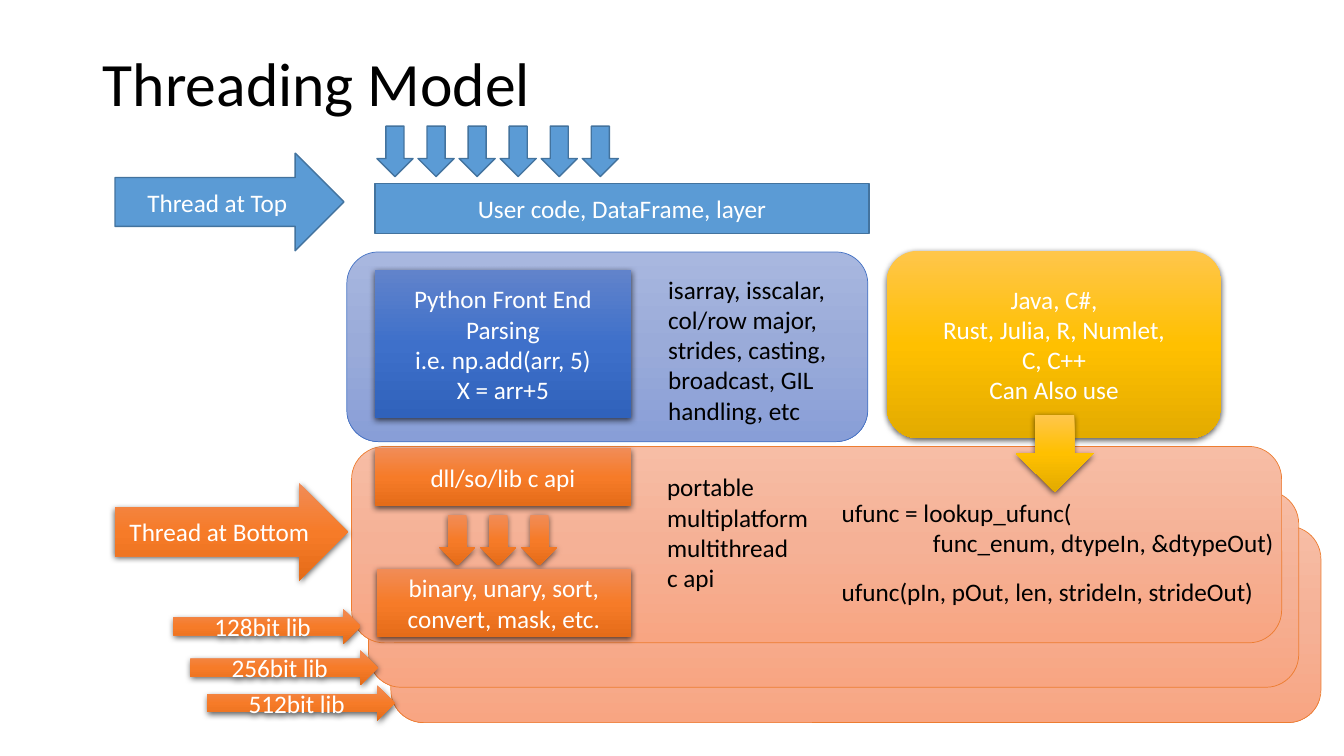
from lxml import etree
from pptx import Presentation
from pptx.dml.color import RGBColor
from pptx.enum.shapes import MSO_SHAPE
from pptx.enum.text import MSO_ANCHOR, MSO_AUTO_SIZE, PP_ALIGN
from pptx.oxml.ns import qn
from pptx.util import Cm, Pt

RECT, ROUND = MSO_SHAPE.RECTANGLE, MSO_SHAPE.ROUNDED_RECTANGLE
DOWN, RIGHT = MSO_SHAPE.DOWN_ARROW, MSO_SHAPE.RIGHT_ARROW
CENTER, LEFT = PP_ALIGN.CENTER, PP_ALIGN.LEFT
MIDDLE, TOP = MSO_ANCHOR.MIDDLE, MSO_ANCHOR.TOP
NO_FIT = MSO_AUTO_SIZE.NONE

FONT = "Calibri"
ARROW_W, ARROW_H, ARROW_STEP = 0.91, 1.27, 1.035

# Each style: fill colours from top to bottom, line (colour, points), shadow
FLAT_BLUE = (["5B9BD5"], ("43739E", 1), False)
BLUE = (["6183CB", "3E70CA", "3062BB"], None, True)
ORANGE = (["F18C57", "F67B28", "E56C19"], None, True)
GOLD = (["FFC64B", "FFC000", "E3AB00"], None, True)
BLUE_PANEL = (["A8B7DF", "9AABD9", "889ED7"], ("4472C4", 0.5), False)
ORANGE_PANEL = (["F7BDA5", "F5B196", "F8A582"], ("ED7D31", 0.5), False)


def rgb(code):
    """Turn a hex string into a colour."""
    return RGBColor.from_string(code)


def put_text(s, lines, color, align, anchor, size=18):
    """Write one paragraph per line and return the text frame."""
    tf = s.text_frame
    tf.word_wrap = True
    tf.auto_size = NO_FIT
    tf.vertical_anchor = anchor
    for i, line in enumerate(lines):
        p = tf.paragraphs[0] if i == 0 else tf.add_paragraph()
        p.text = line
        p.alignment = align
        p.font.name, p.font.size = FONT, Pt(size)
        p.font.color.rgb = rgb(color)
    return tf


def set_fill(s, colors):
    """Fill with one colour, or with an even vertical gradient."""
    if len(colors) == 1:
        s.fill.solid()
        s.fill.fore_color.rgb = rgb(colors[0])
        return
    s.fill.gradient()
    s.fill.gradient_angle = 270
    stops = s._element.spPr.find(qn("a:gradFill")).find(qn("a:gsLst"))
    for old in list(stops):
        stops.remove(old)
    for i, color in enumerate(colors):
        pos = str(100000 * i // (len(colors) - 1))
        stop = etree.SubElement(stops, qn("a:gs"), pos=pos)
        etree.SubElement(stop, qn("a:srgbClr"), val=color)


def add_shadow(s):
    """Add a soft black shadow below the shape."""
    effects = s._element.spPr.find(qn("a:effectLst"))
    shadow = etree.SubElement(effects, qn("a:outerShdw"), blurRad="57150", dist="19050",
                              dir="5400000", algn="ctr", rotWithShape="0")
    color = etree.SubElement(shadow, qn("a:srgbClr"), val="000000")
    etree.SubElement(color, qn("a:alpha"), val="63000")


def add_block(sp, kind, x, y, w, h, style, lines=()):
    """Add a styled shape with centred white text; lengths in cm."""
    colors, line, shadow = style
    s = sp.add_shape(kind, Cm(x), Cm(y), Cm(w), Cm(h))
    set_fill(s, colors)
    if line:
        s.line.color.rgb, s.line.width = rgb(line[0]), Pt(line[1])
    else:
        s.line.fill.background()
    s.shadow.inherit = False
    if shadow:
        add_shadow(s)
    put_text(s, lines, "FFFFFF", CENTER, MIDDLE)


def add_note(sp, x, y, w, h, lines):
    """Add black left-aligned text; lengths in cm."""
    s = sp.add_textbox(Cm(x), Cm(y), Cm(w), Cm(h))
    return put_text(s, lines, "000000", LEFT, TOP)


def add_threads(sp, x, y, count, style):
    """Add a row of small down arrows, one per thread."""
    for i in range(count):
        add_block(sp, DOWN, x + i * ARROW_STEP, y, ARROW_W, ARROW_H, style)


def add_title(slide, x, y, w, h):
    """Place and format the title."""
    s = slide.shapes.title
    s.left, s.top, s.width, s.height = Cm(x), Cm(y), Cm(w), Cm(h)
    tf = put_text(s, ["Threading Model"], "000000", LEFT, MIDDLE, 44)
    tf.paragraphs[0].line_spacing = 0.9


def add_user_layer(sp, x, y, w, h):
    """Add the user code bar with threads entering from above."""
    bar_h = 1.27
    add_threads(sp, x + 0.05, y, 6, FLAT_BLUE)
    add_block(sp, RECT, x, y + h - bar_h, w, bar_h, FLAT_BLUE, ["User code, DataFrame, layer"])


def add_front_end(sp, x, y, w, h):
    """Add the Python front end panel."""
    add_block(sp, ROUND, x, y, w, h, BLUE_PANEL)
    add_block(sp, RECT, x + 0.71, y + 0.46, 6.45, 3.73, BLUE,
              ["Python Front End Parsing", "i.e. np.add(arr, 5)", "X = arr+5"])
    add_note(sp, x + 7.85, y + 0.43, 4.65, 4.11,
             ["isarray, isscalar,",
              "col/row major, strides, casting, broadcast, GIL handling, etc"])


def add_library(sp, x, y, w, h):
    """Add the stacked library panels and the contents of the front one."""
    for dx, dy in ((0.99, 2.01), (0.43, 1.12), (0, 0)):
        add_block(sp, ROUND, x + dx, y + dy, w, h, ORANGE_PANEL)
    add_block(sp, RECT, x + 0.59, y + 0.05, 6.45, 1.45, ORANGE, ["dll/so/lib c api"])
    add_threads(sp, x + 2.21, y + 1.73, 3, ORANGE)
    add_block(sp, RECT, x + 0.64, y + 3.08, 6.4, 1.73, ORANGE,
              ["binary, unary, sort, convert, mask, etc."])
    add_note(sp, x + 7.7, y + 0.51, 4.11, 3.33,
             ["portable multiplatform multithread", "c api"])
    add_note(sp, x + 12.1, y + 3.15, 12.65, 1.02, ["ufunc(pIn, pOut, len, strideIn, strideOut)"])
    tf = add_note(sp, x + 12.1, y + 1.15, 12.65, 1.8,
                  ["ufunc = lookup_ufunc(", "func_enum, dtypeIn, &dtypeOut)"])
    tf.paragraphs[1]._p.get_or_add_pPr().set("marL", str(Cm(2.3)))


def add_other_languages(sp, x, y, w, h):
    """Add the other languages with an arrow into the library."""
    add_block(sp, ROUND, x, y, w, h, GOLD,
              ["Java, C#,", "Rust, Julia, R, Numlet,", "C, C++", "Can Also use"])
    add_block(sp, DOWN, x + 3.25, y + h - 0.58, 1.96, 1.93, GOLD)


def add_bit_libs(sp, x, y, w, h):
    """Add one arrow per vector width, stepping down to the right."""
    for i, dy in enumerate((0, 1.04, 1.93)):
        add_block(sp, RIGHT, x + 0.43 * i, y + dy, w, h, ORANGE, [f"{128 * 2 ** i}bit lib"])


def build():
    """Build and save the slide."""
    prs = Presentation()
    prs.slide_width, prs.slide_height = Cm(33.87), Cm(19.05)
    slide = prs.slides.add_slide(prs.slide_layouts[5])
    sp = slide.shapes
    add_title(slide, 2.34, 1.02, 29.21, 2.31)
    add_library(sp, 8.86, 11.25, 23.44, 4.95)
    add_front_end(sp, 8.74, 6.35, 13.13, 4.78)
    add_user_layer(sp, 9.45, 3.18, 12.45, 2.71)
    add_other_languages(sp, 22.35, 6.32, 8.43, 4.72)
    add_block(sp, RIGHT, 2.9, 3.86, 5.77, 2.46, FLAT_BLUE, ["Thread at Top"])
    add_block(sp, RIGHT, 2.9, 12.17, 5.87, 2.46, ORANGE, ["Thread at Bottom"])
    add_bit_libs(sp, 4.37, 15.34, 4.72, 0.89)
    prs.save("out.pptx")


build()
